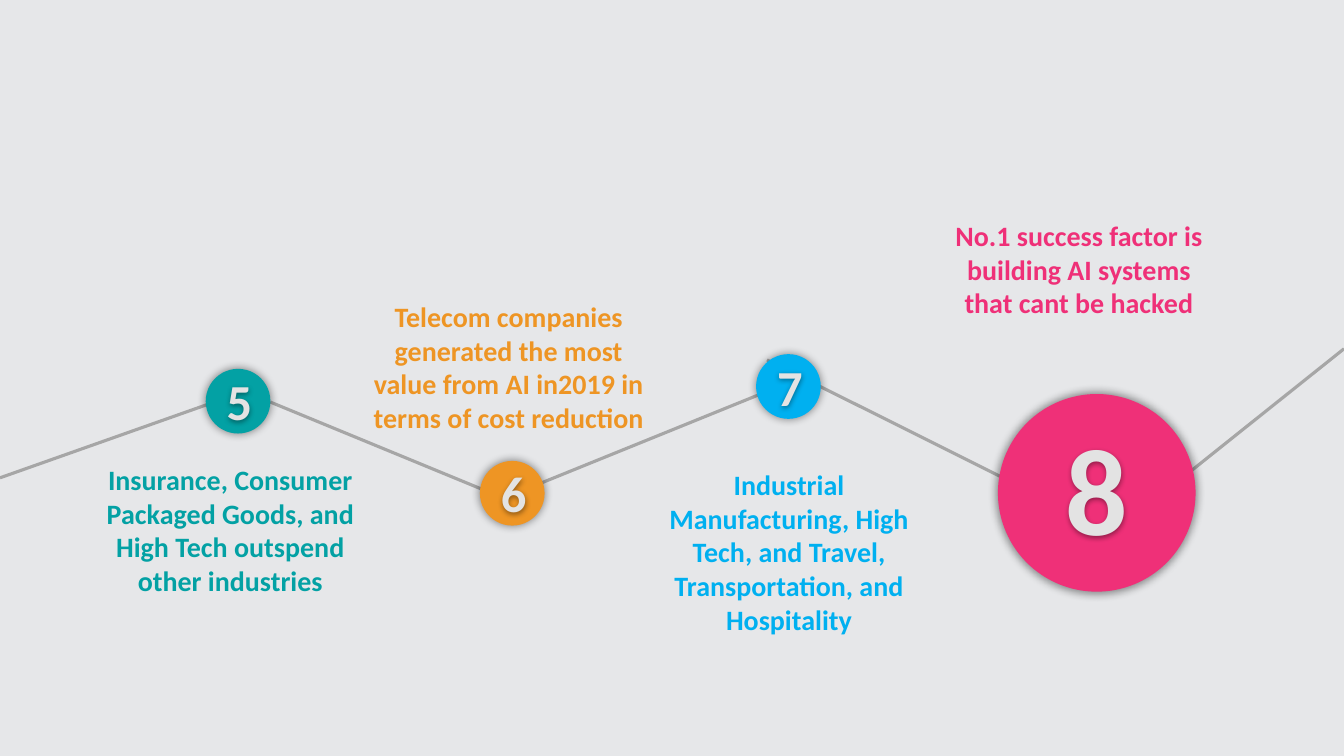
from collections import namedtuple

from lxml import etree
from pptx import Presentation
from pptx.dml.color import RGBColor
from pptx.enum.shapes import MSO_CONNECTOR, MSO_SHAPE
from pptx.enum.text import MSO_AUTO_SIZE, PP_ALIGN
from pptx.oxml.ns import qn
from pptx.util import Cm, Pt

BACKGROUND = RGBColor(0xE6, 0xE7, 0xE9)
PATH_GREY = RGBColor(0xA6, 0xA6, 0xA6)
DIGIT_GREY = RGBColor(0xE3, 0xE3, 0xE3)
PINK = RGBColor(0xEF, 0x30, 0x78)
TEAL = RGBColor(0x03, 0xA1, 0xA4)
ORANGE = RGBColor(0xEE, 0x95, 0x24)
BLUE = RGBColor(0x00, 0xB0, 0xF0)

WIDTH, HEIGHT = 33.87, 19.05

# Centre and diameter of the circle, then the caption's left, top, width, height
Milestone = namedtuple("Milestone", "number color x y size digit_pt digit_box caption area")
SMALL = (1.63, 36, (1.07, 1.8))
LARGE = (4.98, 88, (5.31, 4.01))

MILESTONES = [
    Milestone("8", PINK, 27.64, 12.42, *LARGE,
              "No.1 success factor is building AI systems that cant be hacked",
              (23.75, 5.38, 6.88, 2.82)),
    Milestone("5", TEAL, 6.0, 10.11, *SMALL,
              "Insurance, Consumer Packaged Goods, and High Tech outspend other industries",
              (2.26, 11.53, 7.09, 3.68)),
    Milestone("6", ORANGE, 12.91, 12.43, *SMALL,
              "Telecom companies generated the most value from AI in2019 in terms of cost reduction",
              (8.86, 7.42, 7.92, 3.68)),
    Milestone("7", BLUE, 19.87, 9.74, *SMALL,
              "Industrial Manufacturing, High Tech, and Travel, Transportation, and Hospitality",
              (16.61, 11.66, 6.55, 4.52)),
]

ROAD = [
    ((5.46, 10.11), (0, 12.04)),
    ((12.37, 12.42), (6.81, 10.13)),
    ((12.95, 12.45), (19.61, 9.75)),
    ((26.04, 12.42), (19.33, 9.07)),
    ((WIDTH, 8.79), (29.51, 12.27)),
]


class TimelineSlide:
    font = "Calibri"

    def __init__(self, deck):
        self.page = deck.slides.add_slide(deck.slide_layouts[6])
        fill = self.page.background.fill
        fill.solid()
        fill.fore_color.rgb = BACKGROUND

    def glow(self, shape, blur, scale=100, distance=0):
        """Give a shape a soft dark shadow."""
        shape.shadow.inherit = False
        effects = shape._element.spPr.find(qn("a:effectLst"))
        shadow = etree.SubElement(
            effects, qn("a:outerShdw"), blurRad=str(Pt(blur)), dist=str(Pt(distance)),
            dir="5400000", sx=str(scale * 1000), sy=str(scale * 1000),
            algn="ctr", rotWithShape="0")
        color = etree.SubElement(shadow, qn("a:srgbClr"), val="000000")
        etree.SubElement(color, qn("a:alpha"), val="40000")

    def line(self, start, end):
        line = self.page.shapes.add_connector(
            MSO_CONNECTOR.STRAIGHT, *(Cm(value) for value in start + end))
        line.line.color.rgb = PATH_GREY
        line.line.width = Pt(2.25)
        etree.SubElement(line._element.spPr, qn("a:effectLst"))

    def circle(self, x, y, size, color):
        circle = self.page.shapes.add_shape(
            MSO_SHAPE.OVAL, Cm(x - size / 2), Cm(y - size / 2), Cm(size), Cm(size))
        circle.fill.solid()
        circle.fill.fore_color.rgb = color
        circle.line.fill.background()
        self.glow(circle, 6, scale=102)

    def text(self, area, words, size, color, wrap=True):
        box = self.page.shapes.add_textbox(*(Cm(value) for value in area))
        frame = box.text_frame
        frame.word_wrap = wrap
        frame.auto_size = MSO_AUTO_SIZE.SHAPE_TO_FIT_TEXT
        frame.text = words
        para = frame.paragraphs[0]
        para.alignment = PP_ALIGN.CENTER
        font = para.runs[0].font
        font.name, font.size, font.bold = self.font, Pt(size), True
        font.color.rgb = color
        return box

    def milestone(self, item):
        self.circle(item.x, item.y, item.size, item.color)
        width, height = item.digit_box
        digit_area = (item.x - width / 2, item.y - height / 2, width, height)
        digit = self.text(digit_area, item.number, item.digit_pt, DIGIT_GREY, wrap=False)
        if item.size == LARGE[0]:
            digit.top -= Cm(0.15)
        self.glow(digit, 4, distance=1)


def main():
    deck = Presentation()
    deck.slide_width, deck.slide_height = Cm(WIDTH), Cm(HEIGHT)
    slide = TimelineSlide(deck)

    # Zigzag road
    for start, end in ROAD:
        slide.line(start, end)

    # Numbered circles
    for item in MILESTONES:
        slide.milestone(item)

    # Captions
    for item in MILESTONES:
        slide.text(item.area, item.caption, 20, item.color)

    deck.save("out.pptx")


if __name__ == "__main__":
    main()
